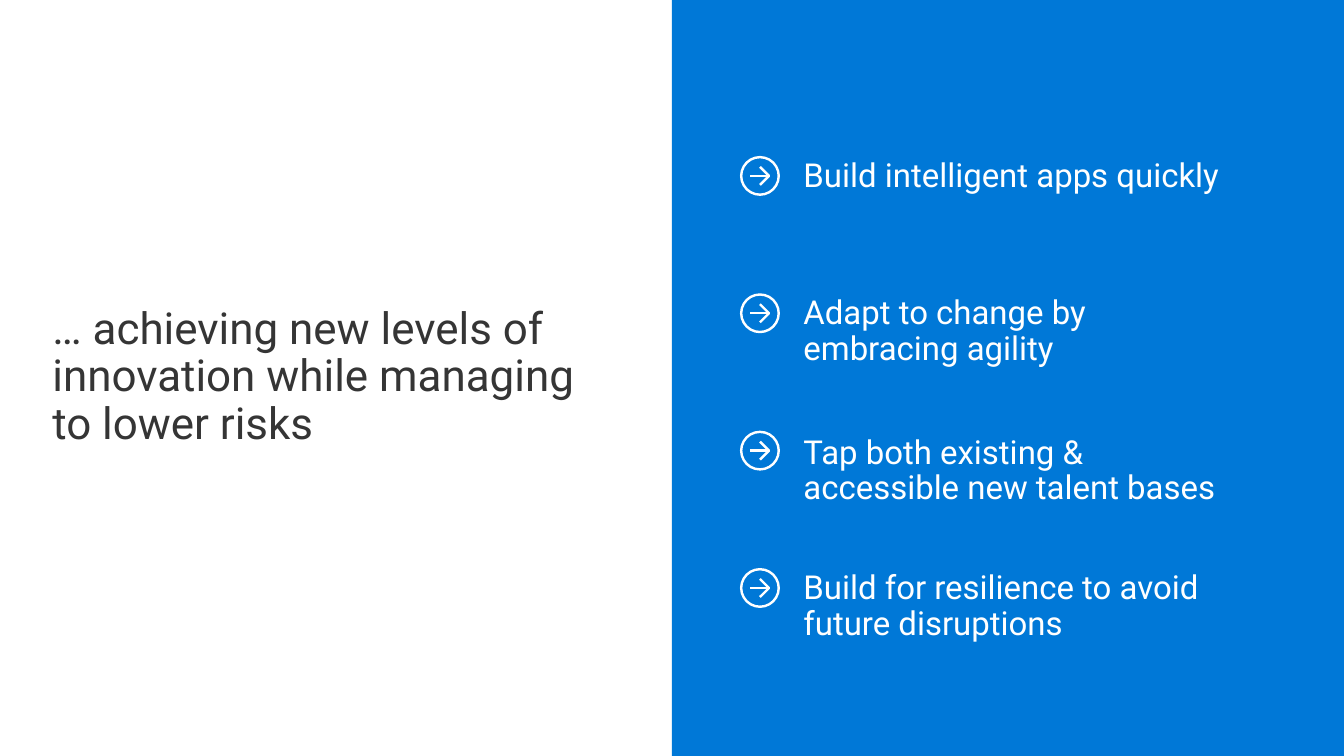
from pptx import Presentation
from pptx.dml.color import RGBColor
from pptx.enum.shapes import MSO_SHAPE
from pptx.enum.text import MSO_ANCHOR, MSO_AUTO_SIZE, PP_ALIGN
from pptx.util import Inches, Pt

HEADLINE = ("… achieving new levels of innovation while managing to lower risks",)
BENEFITS = [
    {"lines": ("Build intelligent apps quickly",), "width": 4.61, "top": -0.08},
    {"lines": ("Adapt to change by", "embracing agility"), "width": 5.11, "top": -0.08},
    {"lines": ("Tap both existing & accessible new talent bases",), "width": 4.61, "top": -0.06},
    {"lines": ("Build for resilience to avoid future disruptions",), "width": 4.61, "top": -0.08},
]
FONT, BLUE, WHITE, CHARCOAL = "Roboto", "0078D7", "FFFFFF", "353535"

WIDTH, HEIGHT = 13.6, 7.65
HALF = WIDTH / 2
ICON_LEFT, TEXT_LEFT = HALF + 0.7, HALF + 1.17
FIRST_ROW, ROW_PITCH = 1.59, 1.39
ICON = 0.38
ARROW_STROKES = [
    [(0.5, 0.26), (0.74, 0.5), (0.5, 0.74)],
    [(0.24, 0.5), (0.74, 0.5)],
]


def color(value):
    return RGBColor.from_string(value)


def place(shape, left, top, width, height):
    shape.left, shape.top = Inches(left), Inches(top)
    shape.width, shape.height = Inches(width), Inches(height)


def write(box, lines, size, ink, insets, space_after=0):
    frame = box.text_frame
    frame_format = {
        "word_wrap": True,
        "auto_size": MSO_AUTO_SIZE.NONE,
        "vertical_anchor": MSO_ANCHOR.TOP,
        "margin_left": Inches(insets[0]),
        "margin_right": Inches(insets[0]),
        "margin_top": Inches(insets[1]),
        "margin_bottom": Inches(insets[1]),
    }
    for name, value in frame_format.items():
        setattr(frame, name, value)
    para = frame.paragraphs[0]
    para_format = {
        "alignment": PP_ALIGN.LEFT,
        "line_spacing": 0.9,
        "space_before": Pt(0),
        "space_after": Pt(space_after),
    }
    for name, value in para_format.items():
        setattr(para, name, value)
    for number, line in enumerate(lines):
        if number:
            para.add_line_break()
        span = para.add_run()
        span.text = line
        for name, value in {"name": FONT, "size": Pt(size)}.items():
            setattr(span.font, name, value)
        span.font.color.rgb = color(ink)


def outline(shape):
    shape.shadow.inherit = False
    shape.fill.background()
    shape.line.color.rgb = color(WHITE)
    shape.line.width = Pt(1.75)


def add_arrow_icon(page, left, top):
    icon = page.shapes.add_group_shape().shapes
    ring = icon.add_shape(
        MSO_SHAPE.OVAL, Inches(left), Inches(top), Inches(ICON), Inches(ICON)
    )
    strokes = [
        [(Inches(left + x * ICON), Inches(top + y * ICON)) for x, y in stroke]
        for stroke in ARROW_STROKES
    ]
    builder = icon.build_freeform(*strokes[0][0])
    builder.add_line_segments(strokes[0][1:], close=False)
    for stroke in strokes[1:]:
        builder.move_to(*stroke[0])
        builder.add_line_segments(stroke[1:], close=False)
    for shape in (ring, builder.convert_to_shape()):
        outline(shape)


def main():
    deck = Presentation()
    deck.slide_width, deck.slide_height = Inches(WIDTH), Inches(HEIGHT)
    page = deck.slides.add_slide(deck.slide_layouts[5])

    panel = page.shapes.add_shape(
        MSO_SHAPE.RECTANGLE, Inches(HALF), 0, Inches(HALF), Inches(HEIGHT)
    )
    panel.shadow.inherit = False
    panel.fill.solid()
    panel.fill.fore_color.rgb = color(BLUE)
    panel.line.fill.background()

    title = page.shapes.title
    place(title, 0.43, 3.05, 5.7, 1.56)
    write(title, HEADLINE, 32, CHARCOAL, (0.1, 0.05))

    for row, benefit in enumerate(BENEFITS):
        top = FIRST_ROW + row * ROW_PITCH
        add_arrow_icon(page, ICON_LEFT, top)
        height = 0.57 if row == 0 else 0.94
        box = page.shapes.add_textbox(0, 0, 0, 0)
        place(box, TEXT_LEFT, top + benefit["top"], benefit["width"], height)
        write(box, benefit["lines"], 24, WHITE, (0.16, 0.1), 24.5)

    deck.save("out.pptx")


if __name__ == "__main__":
    main()
